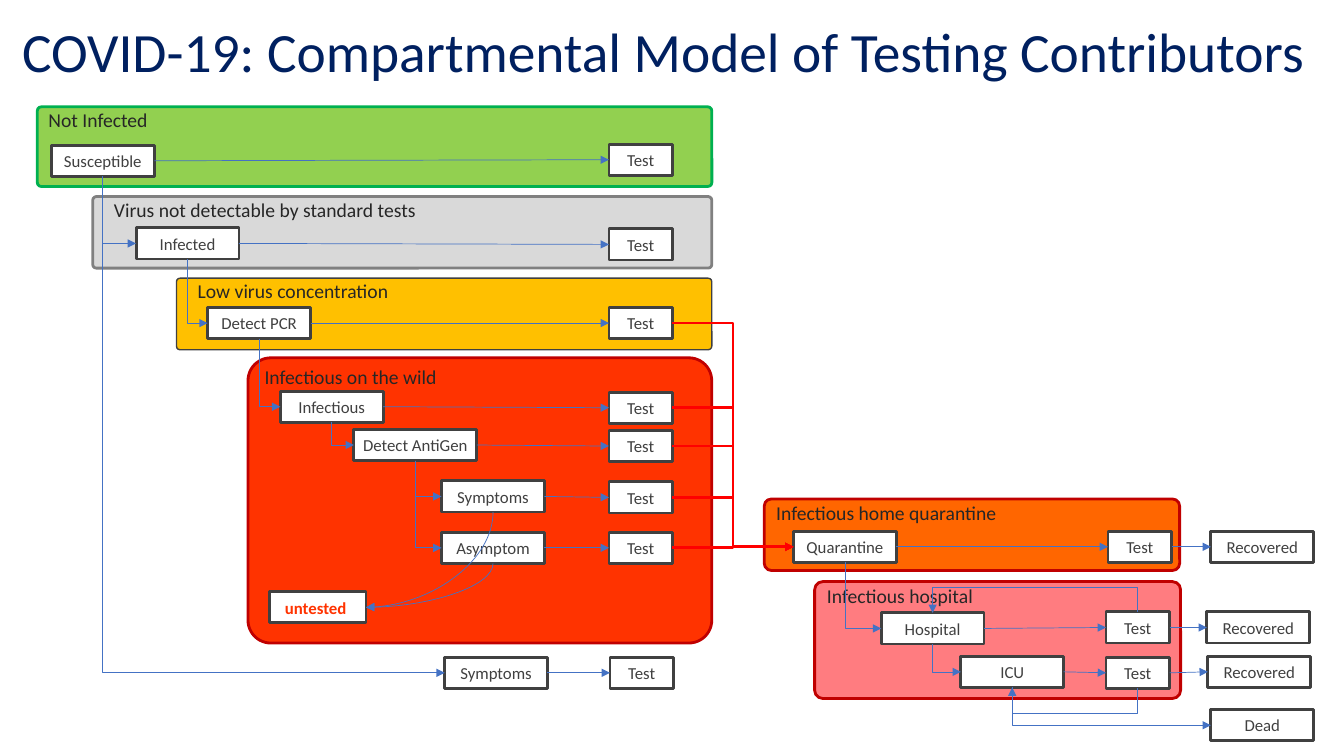
from pptx import Presentation
from pptx.dml.color import RGBColor
from pptx.enum.shapes import MSO_CONNECTOR as Connector, MSO_SHAPE as Shape
from pptx.enum.text import MSO_ANCHOR as Anchor, PP_ALIGN as Align
from pptx.oxml.ns import qn
from pptx.util import Pt
from lxml.etree import SubElement

WHITE = RGBColor(0xFF, 0xFF, 0xFF)
NAVY = RGBColor(0x00, 0x20, 0x60)
INK = RGBColor(0x26, 0x26, 0x26)
CHARCOAL = RGBColor(0x40, 0x40, 0x40)
GRAY = RGBColor(0x80, 0x80, 0x80)
SILVER = RGBColor(0xD9, 0xD9, 0xD9)
LIME = RGBColor(0x92, 0xD0, 0x50)
GREEN = RGBColor(0x00, 0xB0, 0x50)
AMBER = RGBColor(0xFF, 0xC0, 0x00)
ORANGE = RGBColor(0xFF, 0x66, 0x00)
SCARLET = RGBColor(0xFF, 0x33, 0x00)
PINK = RGBColor(0xFF, 0x7C, 0x80)
MAROON = RGBColor(0xC0, 0x00, 0x00)
RED = RGBColor(0xFF, 0x00, 0x00)
BLUE = RGBColor(0x44, 0x72, 0xC4)

PX = 9144
TOP, LEFT, BOTTOM, RIGHT = range(4)
DOWN_RIGHT = ("bentConnector2", 270, True, False)
CURVE_LEFT = ("curvedConnector2", 90, False, False)
LOOP_OVER = ("bentConnector3", 270, True, True)
LOOP_UNDER = ("bentConnector3", 90, True, False)
LOOP_REACH = 25 * PX


class Diagram:
    font = "Calibri"

    def __init__(self, slide):
        self.shapes = slide.shapes

    def label(self, shape, text, size, color, align, anchor, bold=False):
        frame = shape.text_frame
        frame.word_wrap = True
        frame.vertical_anchor = anchor
        paragraph = frame.paragraphs[0]
        paragraph.text = text
        paragraph.alignment = align
        font = paragraph.font
        font.name, font.size, font.bold = self.font, Pt(size), bold
        font.color.rgb = color
        return paragraph

    def panel(self, kind, bounds, fill, line, weight):
        shape = self.shapes.add_shape(kind, *(n * PX for n in bounds))
        shape.shadow.inherit = False
        shape.fill.solid()
        shape.fill.fore_color.rgb = fill
        shape.line.color.rgb = line
        shape.line.width = Pt(weight)
        return shape

    def title(self, text, *bounds):
        box = self.shapes.add_textbox(*(n * PX for n in bounds))
        paragraph = self.label(box, text, 39.6, NAVY, Align.LEFT, Anchor.MIDDLE)
        paragraph.line_spacing = 0.9

    def stage(self, text, bounds, fill, line, corner, indent=10, weight=2):
        shape = self.panel(Shape.ROUNDED_RECTANGLE, bounds, fill, line, weight)
        shape.adjustments[0] = corner
        shape.text_frame.margin_left = indent * PX
        shape.text_frame.margin_top = 0
        self.label(shape, text, 14, INK, Align.LEFT, Anchor.TOP)

    def box(self, text, x, y, width=102, color=CHARCOAL, bold=False, margin=10):
        shape = self.panel(Shape.RECTANGLE, (x, y, width, 31), WHITE, CHARCOAL, 2)
        shape.text_frame.margin_left = shape.text_frame.margin_right = margin * PX
        self.label(shape, text, 12, color, Align.CENTER, Anchor.MIDDLE, bold)
        return shape

    def test(self, x, y):
        return self.box("Test", x, y, 63)

    def arrow(self, start, end, sides=(RIGHT, LEFT), kind=Connector.STRAIGHT,
              color=BLUE, weight=0.5):
        connector = self.shapes.add_connector(kind, 0, 0, 0, 0)
        connector.begin_connect(start, sides[0])
        connector.end_connect(end, sides[1])
        connector.line.color.rgb = color
        connector.line.width = Pt(weight)
        properties = connector._element.spPr
        SubElement(properties.find(qn("a:ln")), qn("a:tailEnd"), type="triangle")
        SubElement(properties, qn("a:effectLst"))
        return connector

    def turn(self, start, end, sides, route):
        connector = self.arrow(start, end, sides, Connector.ELBOW)
        preset, angle, flip_h, flip_v = route
        across = abs(connector.end_x - connector.begin_x)
        down = abs(connector.end_y - connector.begin_y)
        center_x = (connector.begin_x + connector.end_x) // 2
        center_y = (connector.begin_y + connector.end_y) // 2
        connector.left, connector.top = center_x - down // 2, center_y - across // 2
        connector.width, connector.height = down, across
        properties = connector._element.spPr
        transform = properties.find(qn("a:xfrm"))
        transform.set("rot", str(angle * 60000))
        transform.set("flipH", str(int(flip_h)))
        transform.set("flipV", str(int(flip_v)))
        geometry = properties.find(qn("a:prstGeom"))
        geometry.set("prst", preset)
        if preset == "bentConnector3":
            guides = geometry.find(qn("a:avLst"))
            reach = -LOOP_REACH * 100000 // down
            SubElement(guides, qn("a:gd"), name="adj1", fmla=f"val {reach}")


def main():
    presentation = Presentation()
    presentation.slide_width, presentation.slide_height = 1333 * PX, 750 * PX
    slide = presentation.slides.add_slide(presentation.slide_layouts[6])
    diagram = Diagram(slide)

    diagram.title("COVID-19: Compartmental Model of Testing Contributors", 12, 19, 1322, 71)
    diagram.stage("Low virus concentration", (175, 276, 531, 71), AMBER, CHARCOAL, 0.05, 20, 1)
    diagram.stage("Not Infected", (37, 106, 669, 79), LIME, GREEN, 0.05)
    diagram.stage("Infectious hospital", (808, 577, 363, 116), PINK, MAROON, 0.07)
    diagram.stage("Infectious home quarantine", (758, 495, 412, 71), ORANGE, MAROON, 0.1)
    diagram.stage("Infectious on the wild", (246, 355, 460, 283), SCARLET, MAROON, 0.08)
    diagram.stage("Virus not detectable by standard tests", (92, 195, 614, 71),
                  SILVER, GRAY, 0.05, 20)

    susceptible = diagram.box("Susceptible", 51, 144)
    infected = diagram.box("Infected", 135, 226)
    pcr = diagram.box("Detect PCR", 206, 305)
    infectious = diagram.box("Infectious", 278, 388)
    antigen = diagram.box("Detect AntiGen", 351, 426, 122, margin=0)
    symptoms = diagram.box("Symptoms", 438, 477)
    asymptom = diagram.box("Asymptom", 438, 528)
    untested = diagram.box("untested ", 267, 587, 96, SCARLET, True)
    other_symptoms = diagram.box("Symptoms", 441, 652)
    quarantine = diagram.box("Quarantine", 787, 527)
    hospital = diagram.box("Hospital", 874, 608)
    icu = diagram.box("ICU", 953, 651)
    dead = diagram.box("Dead", 1201, 704)

    tested = [(susceptible, 143), (infected, 227), (pcr, 305), (infectious, 389),
              (antigen, 427), (symptoms, 478), (asymptom, 528)]
    tests = [diagram.test(604, y) for _, y in tested]
    for (source, _), test in zip(tested, tests):
        diagram.arrow(source, test)
    diagram.arrow(other_symptoms, diagram.test(605, 652))

    care_tests = []
    for source, test_x, test_y, recovered_x, recovered_y in (
            (quarantine, 1099, 527, 1201, 527),
            (hospital, 1097, 607, 1197, 607),
            (icu, 1097, 652, 1198, 651)):
        test = diagram.test(test_x, test_y)
        diagram.arrow(source, test)
        diagram.arrow(test, diagram.box("Recovered", recovered_x, recovered_y))
        care_tests.append(test)

    for start, end in ((susceptible, infected), (infected, pcr), (pcr, infectious),
                       (infectious, antigen), (antigen, symptoms), (antigen, asymptom),
                       (susceptible, other_symptoms), (quarantine, hospital),
                       (hospital, icu), (icu, dead)):
        diagram.turn(start, end, (BOTTOM, LEFT), DOWN_RIGHT)
    for test in tests[2:]:
        diagram.arrow(test, quarantine, kind=Connector.ELBOW, color=RED, weight=2)
    diagram.turn(care_tests[1], hospital, (TOP, TOP), LOOP_OVER)
    diagram.turn(care_tests[2], icu, (BOTTOM, BOTTOM), LOOP_UNDER)
    for start in (asymptom, symptoms):
        diagram.turn(start, untested, (BOTTOM, RIGHT), CURVE_LEFT)

    presentation.save("out.pptx")


if __name__ == "__main__":
    main()
